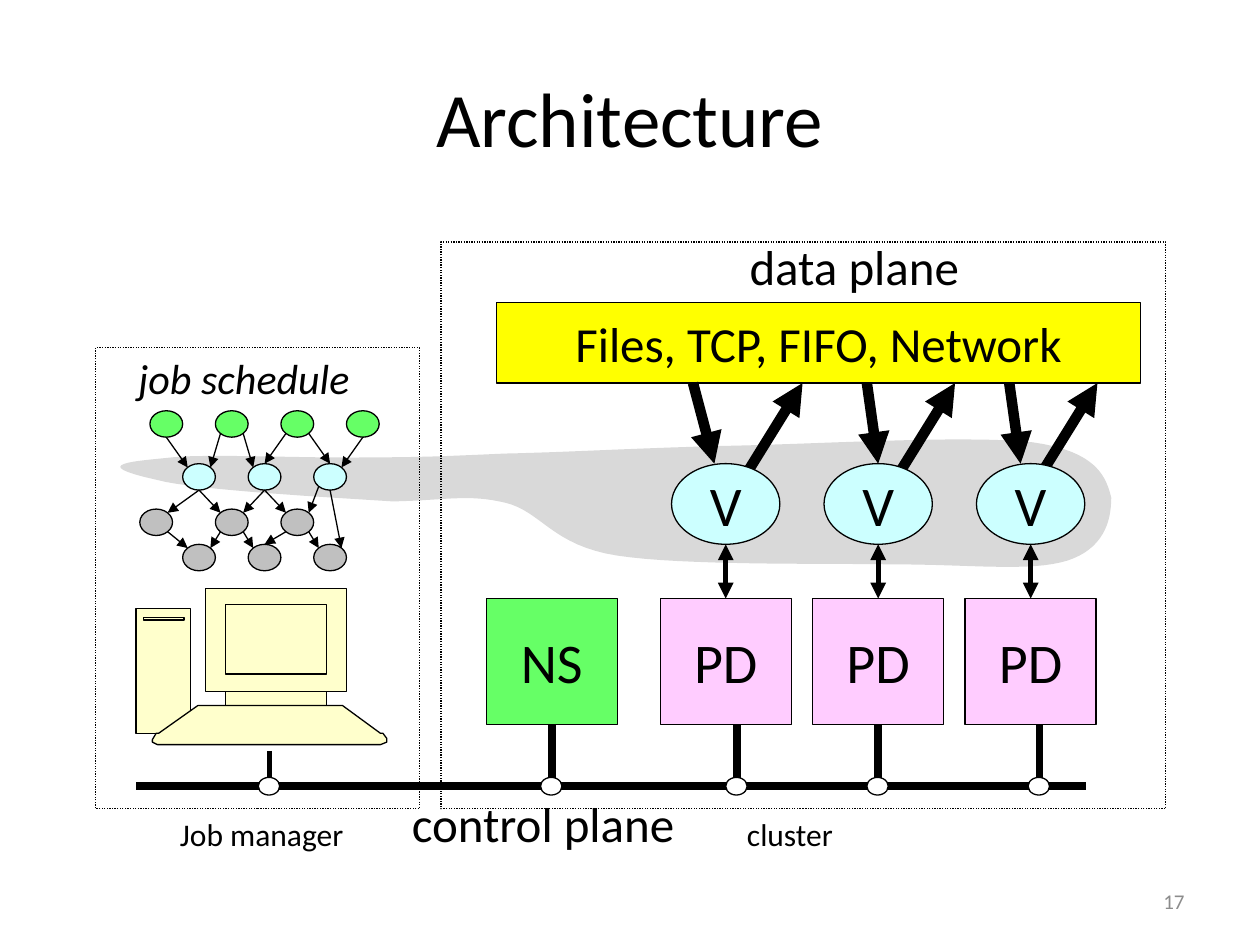
from lxml.etree import SubElement
from pptx import Presentation
from pptx.dml.color import RGBColor
from pptx.enum.dml import MSO_LINE
from pptx.enum.shapes import MSO_CONNECTOR, MSO_SHAPE
from pptx.enum.text import MSO_ANCHOR, PP_ALIGN
from pptx.oxml.ns import qn
from pptx.util import Inches, Pt

BLACK = RGBColor(0, 0, 0)
WHITE = RGBColor(255, 255, 255)
SHADE = RGBColor(0xD9, 0xD9, 0xD9)
GRAY = RGBColor(0xC0, 0xC0, 0xC0)
DIM = RGBColor(0x8C, 0x8C, 0x8C)
GREEN = RGBColor(0x66, 0xFF, 0x66)
CYAN = RGBColor(0xCC, 0xFF, 0xFF)
PINK = RGBColor(0xFF, 0xCC, 0xFF)
YELLOW = RGBColor(255, 255, 0)
CREAM = RGBColor(0xFF, 0xFF, 0xCC)
RECT, OVAL = MSO_SHAPE.RECTANGLE, MSO_SHAPE.OVAL

deck = Presentation()
deck.slide_width, deck.slide_height = Inches(10), Inches(7.5)
slide = deck.slides.add_slide(deck.slide_layouts[5])
shapes = slide.shapes


def add_box(kind, x, y, w, h, fill=None, text="", size=32):
    box = shapes.add_shape(kind, Inches(x), Inches(y), Inches(w), Inches(h))
    box.shadow.inherit = False
    if fill is None:
        box.fill.background()
    else:
        box.fill.solid()
        box.fill.fore_color.rgb = fill
    box.line.color.rgb = BLACK
    box.line.width = Pt(0.75)
    if text:
        frame = box.text_frame
        frame.word_wrap = False
        frame.vertical_anchor = MSO_ANCHOR.MIDDLE
        par = frame.paragraphs[0]
        par.alignment = PP_ALIGN.CENTER
        run = par.add_run()
        run.text = text
        run.font.name, run.font.size = "Calibri", Pt(size)
        run.font.color.rgb = BLACK
    return box


def add_line(x1, y1, x2, y2, width=0.75, ends=()):
    line = shapes.add_connector(
        MSO_CONNECTOR.STRAIGHT, Inches(x1), Inches(y1), Inches(x2), Inches(y2))
    line.line.color.rgb = BLACK
    line.line.width = Pt(width)
    for end in ends:
        SubElement(line.line._get_or_add_ln(), qn("a:" + end), type="triangle")
    SubElement(line._element.spPr, qn("a:effectLst"))
    return line


# Title
title = shapes.title
title.left, title.top = Inches(0.5), Inches(0.3)
title.width, title.height = Inches(9), Inches(1.25)
title.text_frame.vertical_anchor = MSO_ANCHOR.MIDDLE
par = title.text_frame.paragraphs[0]
par.alignment = PP_ALIGN.CENTER
run = par.add_run()
run.text = "Architecture"
run.font.name, run.font.size = "Calibri", Pt(44)
run.font.color.rgb = BLACK

# Gray band behind the vertices, sampled from cubic curves
curves = [
    ((0.66, 3.68), (1.09, 3.66), (1.37, 3.63)),
    ((1.65, 3.6), (2.49, 3.64), (2.93, 3.63)),
    ((3.37, 3.63), (3.55, 3.62), (4.01, 3.6)),
    ((4.47, 3.59), (5, 3.56), (5.7, 3.54)),
    ((6.4, 3.53), (7.67, 3.45), (8.19, 3.51)),
    ((8.71, 3.58), (8.78, 3.79), (8.82, 3.95)),
    ((8.82, 4.15), (8.75, 4.36), (8.47, 4.45)),
    ((8.18, 4.54), (7.71, 4.48), (7.11, 4.48)),
    ((6.52, 4.47), (5.42, 4.49), (4.9, 4.41)),
    ((4.38, 4.33), (4.3, 4.06), (4.01, 3.99)),
    ((3.71, 3.92), (3.56, 3.97), (3.12, 3.98)),
    ((2.66, 3.95), (1.54, 3.89), (1.25, 3.81)),
]
start = (1.25, 3.81)
points = [start]
for b, c, d in curves:
    for step in range(1, 17):
        t = step / 16
        u = 1 - t
        points.append(tuple(
            u**3 * start[i] + 3 * u * u * t * b[i] + 3 * u * t * t * c[i] + t**3 * d[i]
            for i in (0, 1)))
    start = d

# Computer outlines, from back to front
tower = [(1.08, 4.83), (1.51, 4.83), (1.51, 5.82), (1.08, 5.82)]
screen = [(1.63, 4.67), (2.75, 4.67), (2.75, 5.49), (1.63, 5.49)]
glass = [(1.79, 4.8), (2.59, 4.8), (2.59, 5.35), (1.79, 5.35)]
stand = [(1.79, 5.49), (2.59, 5.49), (2.59, 5.6), (1.79, 5.6)]
slot = [(1.14, 4.9), (1.46, 4.9), (1.46, 4.92), (1.14, 4.92)]
keys = [(1.57, 5.6), (2.72, 5.6), (3.02, 5.82), (3.04, 5.82), (3.07, 5.86),
        (3.07, 5.89), (3.02, 5.91), (1.25, 5.91), (1.21, 5.89), (1.21, 5.87),
        (1.24, 5.82), (1.26, 5.82)]
for outline in (points, tower, slot, screen, glass, stand, keys):
    spots = [(Inches(x), Inches(y)) for x, y in outline]
    path = shapes.build_freeform(*spots[0])
    path.add_line_segments(spots[1:], close=True)
    form = path.convert_to_shape()
    form.shadow.inherit = False
    form.fill.solid()
    if outline is points:
        form.fill.fore_color.rgb = SHADE
        form.line.fill.background()
    else:
        form.fill.fore_color.rgb = CREAM
        form.line.color.rgb = BLACK
        form.line.width = Pt(0.75)

# Dotted frames
for frame in ((0.76, 2.76, 2.57, 3.66), (3.5, 1.92, 5.75, 4.5)):
    add_box(RECT, *frame).line.dash_style = MSO_LINE.ROUND_DOT

# Job graph
rows = [
    (3.26, GREEN, (1.19, 1.71, 2.23, 2.75)),
    (3.68, CYAN, (1.45, 1.97, 2.49)),
    (4.04, GRAY, (1.11, 1.71, 2.23)),
    (4.32, GRAY, (1.45, 1.97, 2.49)),
]
for y, fill, lefts in rows:
    for x in lefts:
        add_box(OVAL, x, y, 0.26, 0.21, fill)
edges = [
    (1.32, 3.47, 1.49, 3.71), (1.75, 3.44, 1.67, 3.71), (1.93, 3.44, 2.01, 3.71),
    (2.27, 3.44, 2.1, 3.68), (2.45, 3.44, 2.62, 3.68), (2.88, 3.47, 2.71, 3.71),
    (2.1, 3.89, 2.27, 4.07), (2.1, 3.89, 1.93, 4.07), (1.58, 3.89, 1.33, 4.07),
    (1.58, 3.89, 1.75, 4.07), (2.53, 3.86, 2.45, 4.07), (2.62, 3.89, 2.71, 4.35),
    (1.93, 4.22, 2.01, 4.35), (2.27, 4.22, 2.1, 4.32), (1.75, 4.22, 1.67, 4.35),
    (1.33, 4.22, 1.49, 4.35), (2.45, 4.22, 2.53, 4.35),
]
for edge in edges:
    add_line(*edge, ends=["tailEnd"])

# Control bus with its taps
add_line(1.08, 6.24, 8.62, 6.24, 4.5)
for x, top, width in ((2.14, 5.96, 3), (4.38, 5.53, 4.5), (5.85, 5.53, 4.5),
                      (6.97, 5.53, 4.5), (8.25, 5.53, 4.5)):
    add_line(x, top, x, 6.24, width)
    add_box(OVAL, x - 0.09, 6.17, 0.17, 0.14, WHITE)

# Data channel, name server, daemons and vertices
add_box(RECT, 3.94, 2.4, 5.11, 0.64, YELLOW, "Files, TCP, FIFO, Network", 28)
add_box(RECT, 3.86, 4.75, 1.04, 1, GREEN, "NS")
flows = [(5.5, 5.67, 5.93), (6.88, 6.97, 7.14), (8.01, 8.1, 8.27)]
for col, (top, tip, out) in enumerate(flows):
    mid = 5.76 + 1.21 * col
    node = add_box(RECT, mid - 0.52, 4.75, 1.04, 1, PINK, "PD")
    add_line(out, 3.75, out + 0.44, 3.04, 6, ["tailEnd"])
    add_line(top, 3.04, tip, 3.68, 6, ["tailEnd"])
    link = add_line(mid, 4.32, mid, 4.75, 3, ["headEnd", "tailEnd"])
    link.end_connect(node, 0)
    add_box(OVAL, mid - 0.43, 3.68, 0.86, 0.64, CYAN, "V")

# Labels and page number
labels = [
    ("job schedule", 1, 2.75, 2.08, 0.5, 24),
    ("data plane", 5.85, 1.83, 2.72, 0.57, 28),
    ("control plane", 3.17, 6.25, 3.24, 0.57, 28),
    ("Job manager", 1.33, 6.42, 1.51, 0.4, 18),
    ("cluster", 5.83, 6.42, 0.89, 0.4, 18),
    ("17", 7.17, 6.95, 2.33, 0.4, 12),
]
for text, x, y, w, h, size in labels:
    box = shapes.add_textbox(Inches(x), Inches(y), Inches(w), Inches(h))
    frame = box.text_frame
    frame.word_wrap = size != 18
    par = frame.paragraphs[0]
    run = par.add_run()
    run.text = text
    run.font.name, run.font.size = "Calibri", Pt(size)
    run.font.color.rgb = BLACK
    if text == "job schedule":
        run.font.italic = True
    if text == "17":
        frame.vertical_anchor = MSO_ANCHOR.MIDDLE
        par.alignment = PP_ALIGN.RIGHT
        run.font.color.rgb = DIM

deck.save("out.pptx")
